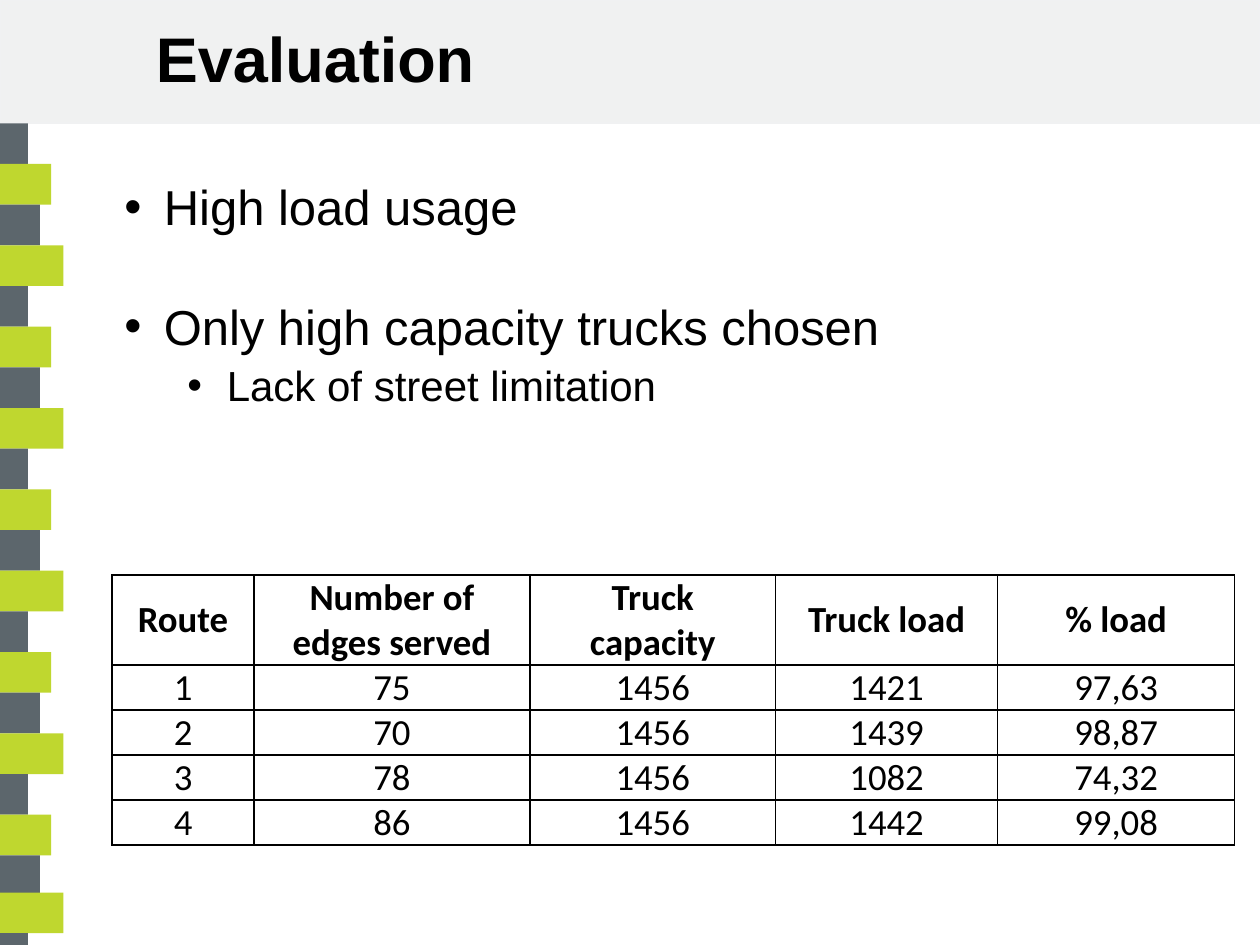
from lxml.etree import SubElement
from pptx import Presentation
from pptx.dml.color import RGBColor
from pptx.enum.shapes import MSO_SHAPE
from pptx.enum.text import MSO_ANCHOR, PP_ALIGN
from pptx.oxml.ns import qn
from pptx.util import Pt

BLACK = RGBColor(0x00, 0x00, 0x00)
WHITE = RGBColor(0xFF, 0xFF, 0xFF)
HEADER_GREY = RGBColor(0xF0, 0xF1, 0xF1)
HEADER_LINE = RGBColor(0xF0, 0xF1, 0xF2)
SLATE = RGBColor(0x5C, 0x66, 0x6C)
LIME = RGBColor(0xBF, 0xD7, 0x2F)

SLIDE_W, SLIDE_H = 720, 540

# Text, indent level, font size, space before
BULLETS = [
    ("High load usage", 0, 28, 0),
    ("Only high capacity trucks chosen", 0, 28, 34.7),
    ("Lack of street limitation", 1, 24, 2.7),
]
COLUMN_WIDTHS = [81.2, 157.6, 140.5, 126.8, 135.5]
ROUTES = [
    ("Route", "Number of edges served", "Truck capacity", "Truck load", "% load"),
    ("1", "75", "1456", "1421", "97,63"),
    ("2", "70", "1456", "1439", "98,87"),
    ("3", "78", "1456", "1082", "74,32"),
    ("4", "86", "1456", "1442", "99,08"),
]


def add_rect(slide, x, y, w, h, color):
    sp = slide.shapes.add_shape(MSO_SHAPE.RECTANGLE, Pt(x), Pt(y), Pt(w), Pt(h))
    sp.shadow.inherit = False
    sp.fill.solid()
    sp.fill.fore_color.rgb = color
    sp.line.fill.background()
    return sp


def add_run(p, text, size, name="Arial", bold=False):
    r = p.add_run()
    r.text = text
    r.font.name = name
    r.font.size = Pt(size)
    r.font.bold = bold
    r.font.color.rgb = BLACK


def add_text_box(slide, x, y, w, h):
    tf = slide.shapes.add_textbox(Pt(x), Pt(y), Pt(w), Pt(h)).text_frame
    tf.word_wrap = True
    return tf


def add_header(slide, x, y, w, h):
    band = add_rect(slide, x, y, w, h, HEADER_GREY)
    band.line.color.rgb = HEADER_LINE
    band.line.width = Pt(1)
    tf = add_text_box(slide, x + 82, y + 0.7, w - 96.4, h - 0.7)
    tf.vertical_anchor = MSO_ANCHOR.MIDDLE
    p = tf.paragraphs[0]
    p.line_spacing = 0.9
    add_run(p, "Evaluation", 36, bold=True)


def add_side_strip(slide, x, y, h):
    """Stack alternating slate and lime bars; the last two sit slightly higher."""
    widths = [16, 29.3, 22.8, 36.2]
    step, count, lift = 23.24, 21, 2
    for i in range(count):
        top = y + i * step - (lift if i >= count - 2 else 0)
        height = min(step, y + h - top)
        add_rect(slide, x, top, widths[i % 4], height, LIME if i % 2 else SLATE)


def add_bullets(slide, x, y, w, h):
    tf = add_text_box(slide, x, y, w, h)
    tf.margin_top = Pt(6)
    for i, (text, level, size, before) in enumerate(BULLETS):
        p = tf.add_paragraph() if i else tf.paragraphs[0]
        p.level = level
        if before:
            p.space_before = Pt(before)
        pPr = p._p.get_or_add_pPr()
        pPr.set("marL", str(Pt(22.5 + 36 * level)))
        pPr.set("indent", str(-Pt(22.5)))
        SubElement(pPr, qn("a:buFont"), typeface="Arial")
        SubElement(pPr, qn("a:buChar"), char="•")
        add_run(p, text, size)


def add_borders(cell):
    tcPr = cell._tc.get_or_add_tcPr()
    for side in ("a:lnL", "a:lnR", "a:lnT", "a:lnB"):
        ln = SubElement(tcPr, qn(side), w=str(Pt(1)))
        SubElement(SubElement(ln, qn("a:solidFill")), qn("a:srgbClr"), val=str(BLACK))


def add_route_table(slide, x, y, w, row_h):
    n_rows, n_cols = len(ROUTES), len(COLUMN_WIDTHS)
    frame = slide.shapes.add_table(
        n_rows, n_cols, Pt(x), Pt(y), Pt(w), Pt(row_h * (n_rows + 1)))
    table = frame.table
    table.first_row = table.horz_banding = False
    for column, width in zip(table.columns, COLUMN_WIDTHS):
        column.width = Pt(width)
    for i, values in enumerate(ROUTES):
        # The heading row holds two lines
        table.rows[i].height = Pt(row_h if i else 2 * row_h)
        for j, value in enumerate(values):
            cell = table.cell(i, j)
            add_borders(cell)
            cell.fill.solid()
            cell.fill.fore_color.rgb = WHITE
            cell.margin_left = cell.margin_right = Pt(9.4)
            cell.margin_top = cell.margin_bottom = Pt(0)
            cell.vertical_anchor = MSO_ANCHOR.MIDDLE
            p = cell.text_frame.paragraphs[0]
            p.alignment = PP_ALIGN.CENTER
            add_run(p, value, 21, "Calibri", bold=i == 0)


def main():
    prs = Presentation()
    prs.slide_width, prs.slide_height = Pt(SLIDE_W), Pt(SLIDE_H)
    slide = prs.slides.add_slide(prs.slide_layouts[6])

    # Title band and decorative strip
    add_header(slide, 0, 0, SLIDE_W, 70.5)
    add_side_strip(slide, 0, 70.5, SLIDE_H - 70.5)

    # Findings and route figures
    add_route_table(slide, 64, 328.7, sum(COLUMN_WIDTHS), 25.7)
    add_bullets(slide, 64, 95, 625.7, 259.2)

    prs.save("out.pptx")


if __name__ == "__main__":
    main()
